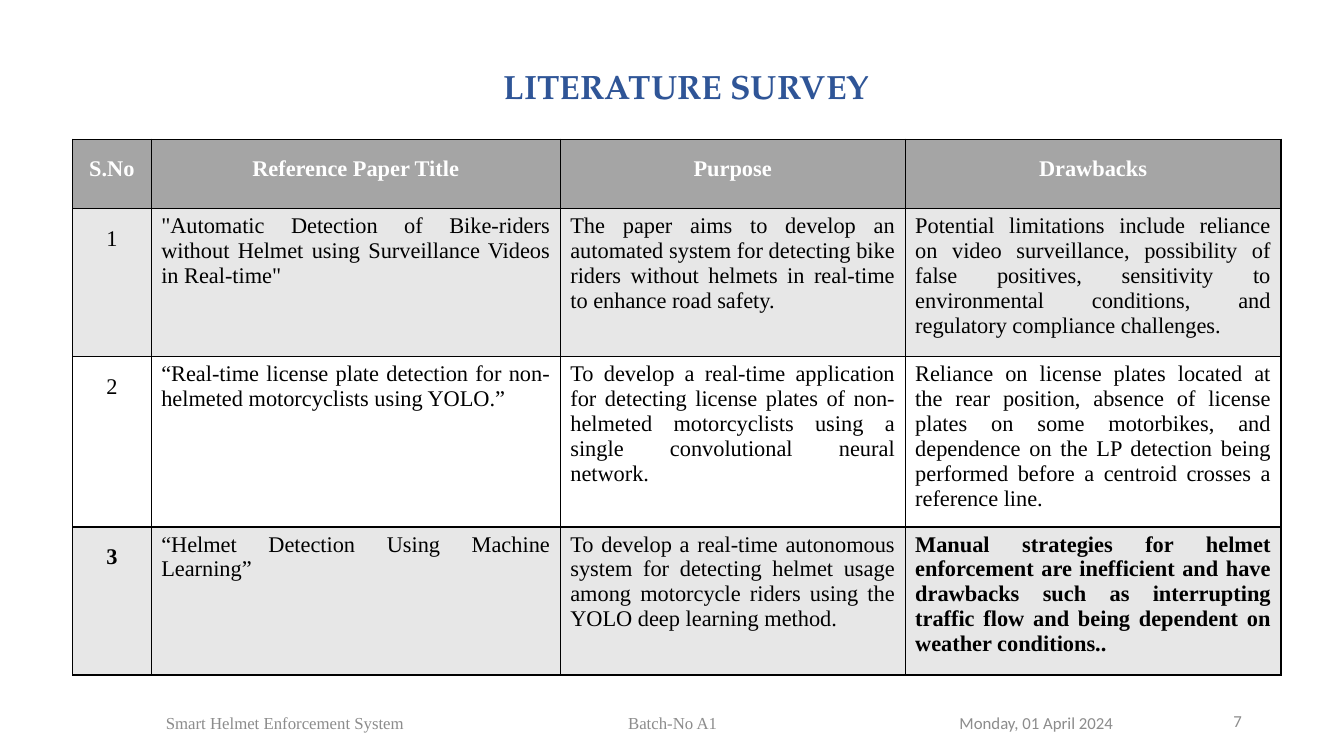
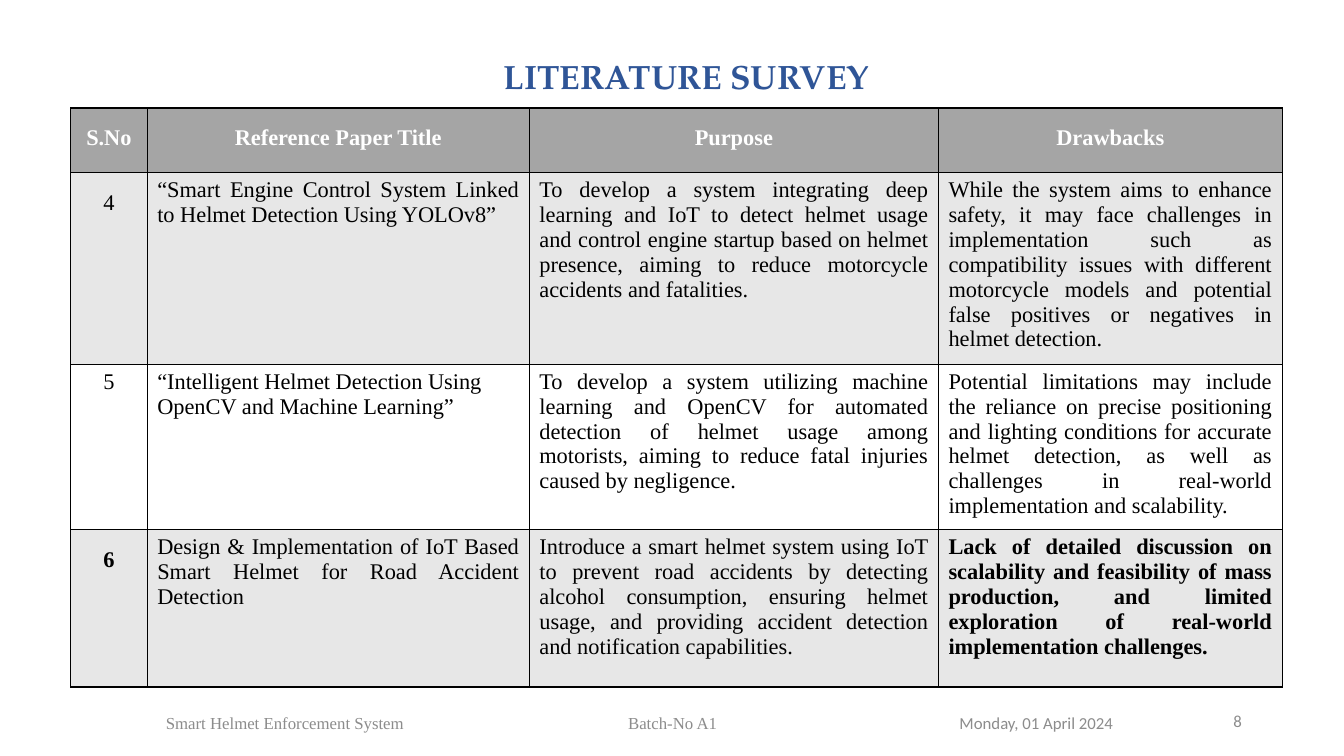
from dataclasses import dataclass

from lxml import etree
from pptx import Presentation
from pptx import util as u
from pptx.dml.color import RGBColor
from pptx.enum import text as t
from pptx.oxml import ns

LEFT, CENTER = t.PP_ALIGN.LEFT, t.PP_ALIGN.CENTER
RIGHT, JUSTIFY = t.PP_ALIGN.RIGHT, t.PP_ALIGN.JUSTIFY


@dataclass(frozen=True)
class Theme:
    title_color: str = "2F5597"
    header_fill: str = "A5A5A5"
    band_fill: str = "E7E7E7"
    plain_fill: str = "FFFFFF"
    header_color: str = "FFFFFF"
    body_color: str = "000000"
    border_color: str = "000000"
    footer_color: str = "8C8C8C"
    title_font: str = "TeX Gyre Pagella"
    body_font: str = "Times New Roman"
    footer_font: str = "Calibri"
    title_size: int = 24
    body_size: int = 16
    footer_size: int = 12
    border_width: int = 1


def write(frame, text, *, font, size, color, bold=False, align=LEFT, spacing=1.0, tab=None):
    """Put one formatted paragraph in a text frame."""
    para = frame.paragraphs[0]
    para.alignment = align
    para.line_spacing = spacing
    if tab is not None:
        stops = etree.SubElement(para._p.get_or_add_pPr(), ns.qn("a:tabLst"))
        etree.SubElement(stops, ns.qn("a:tab"), pos=str(tab), algn="l")
    span = para.add_run()
    span.text = text
    span.font.name = font
    span.font.size = u.Pt(size)
    span.font.bold = bold
    span.font.color.rgb = RGBColor.from_string(color)


class SurveyDeck:
    """Holds the theme, the deck and the current page."""

    def __init__(self, theme):
        self.theme = theme
        self.deck = Presentation()
        self.deck.slide_width = u.Cm(33.87)
        self.deck.slide_height = u.Cm(19.05)
        self.page = None

    def add_page(self):
        self.page = self.deck.slides.add_slide(self.deck.slide_layouts[5])

    def title(self, text, top, height):
        box = self.page.shapes.title
        box.left, box.top, box.width, box.height = u.Cm(2.69), u.Cm(top), u.Cm(29.21), u.Cm(height)
        box.text_frame.vertical_anchor = t.MSO_ANCHOR.MIDDLE
        write(box.text_frame, text, font=self.theme.title_font, size=self.theme.title_size,
              color=self.theme.title_color, bold=True, align=CENTER, spacing=0.9)

    def footer_box(self, text, left, top, width, *, font, align=LEFT, inset=0.25, tab=None):
        box = self.page.shapes.add_textbox(u.Cm(left), u.Cm(top), u.Cm(width), u.Cm(1.02))
        frame = box.text_frame
        frame.word_wrap = True
        frame.vertical_anchor = t.MSO_ANCHOR.MIDDLE
        frame.margin_left = u.Cm(inset)
        write(frame, text, font=font, size=self.theme.footer_size,
              color=self.theme.footer_color, align=align, tab=tab)

    def footer(self, number):
        self.footer_box("Smart Helmet Enforcement System\tBatch-No A1", 0.33, 17.7, 21.59,
                        font=self.theme.body_font, inset=3.85, tab=u.Cm(11.65))
        self.footer_box("Monday, 01 April 2024", 23.93, 17.7, 7.62, font=self.theme.footer_font)
        self.footer_box(str(number), 23.93, 17.65, 7.62, font=self.theme.footer_font, align=RIGHT)

    def border(self, cell):
        props = cell._tc.get_or_add_tcPr()
        for index, side in enumerate(("lnL", "lnR", "lnT", "lnB")):
            line = etree.Element(ns.qn(f"a:{side}"), w=str(u.Pt(self.theme.border_width)))
            fill = etree.SubElement(line, ns.qn("a:solidFill"))
            etree.SubElement(fill, ns.qn("a:srgbClr"), val=self.theme.border_color)
            props.insert(index, line)

    def cell(self, cell, text, fill, **style):
        cell.fill.solid()
        cell.fill.fore_color.rgb = RGBColor.from_string(fill)
        self.border(cell)
        write(cell.text_frame, text, font=self.theme.body_font, size=self.theme.body_size, **style)

    def table(self, left, top, widths, heights, papers, loose_rows=()):
        """Draw the survey grid; loose rows have a single-spaced number and a ragged title."""
        theme = self.theme
        grid = self.page.shapes.add_table(
            len(heights), len(widths), u.Cm(left), u.Cm(top),
            u.Cm(sum(widths)), u.Cm(sum(heights))).table
        grid.horz_banding = False
        for column, width in zip(grid.columns, widths):
            column.width = u.Cm(width)
        for row, height in zip(grid.rows, heights):
            row.height = u.Cm(height)

        for c, heading in enumerate(HEADINGS):
            self.cell(grid.cell(0, c), heading, theme.header_fill, color=theme.header_color,
                      bold=True, align=CENTER, spacing=1.5)
        for r, paper in enumerate(papers, start=1):
            loose = r in loose_rows
            aligns = (CENTER, LEFT if loose else JUSTIFY, JUSTIFY, JUSTIFY)
            for c, (text, align) in enumerate(zip(paper, aligns)):
                self.cell(grid.cell(r, c), text,
                          theme.band_fill if r % 2 else theme.plain_fill,
                          color=theme.body_color, align=align,
                          bold=r == len(papers) and c in (0, len(paper) - 1),
                          spacing=1.5 if c == 0 and not loose else 1.0)


# Content
HEADINGS = ("S.No", "Reference Paper Title", "Purpose", "Drawbacks")

FIRST_PAPERS = (
    ("1",
     '"Automatic Detection of Bike-riders without Helmet using Surveillance Videos in Real-time"',
     "The paper aims to develop an automated system for detecting bike riders without helmets "
     "in real-time to enhance road safety.",
     "Potential limitations include reliance on video surveillance, possibility of false "
     "positives, sensitivity to environmental conditions, and regulatory "
     "compliance challenges."),
    ("2",
     "“Real-time license plate detection for non-helmeted motorcyclists using YOLO.”",
     "To develop a real-time application for detecting license plates of non-helmeted "
     "motorcyclists using a single convolutional neural network.",
     "Reliance on license plates located at the rear position, absence of license plates on "
     "some motorbikes, and dependence on the LP detection being performed before a centroid "
     "crosses a reference line."),
    ("3",
     "“Helmet Detection Using Machine Learning”",
     "To develop a real-time autonomous system for detecting helmet usage among motorcycle "
     "riders using the YOLO deep learning method.",
     "Manual strategies for helmet enforcement are inefficient and have drawbacks such as "
     "interrupting traffic flow and being dependent on weather conditions.."),
)

SECOND_PAPERS = (
    ("4",
     "“Smart Engine Control System Linked to Helmet Detection Using YOLOv8”",
     "To develop a system integrating deep learning and IoT to detect helmet usage and control "
     "engine startup based on helmet presence, aiming to reduce motorcycle accidents and "
     "fatalities.",
     "While the system aims to enhance safety, it may face challenges in implementation such as "
     "compatibility issues with different motorcycle models and potential false positives or "
     "negatives in helmet detection."),
    ("5",
     "“Intelligent Helmet Detection Using OpenCV and Machine Learning”",
     "To develop a system utilizing machine learning and OpenCV for automated detection of "
     "helmet usage among motorists, aiming to reduce fatal injuries caused by negligence.",
     "Potential limitations may include the reliance on precise positioning and lighting "
     "conditions for accurate helmet detection, as well as challenges in real-world "
     "implementation and scalability."),
    ("6",
     "Design & Implementation of IoT Based Smart Helmet for Road Accident Detection",
     "Introduce a smart helmet system using IoT to prevent road accidents by detecting alcohol "
     "consumption, ensuring helmet usage, and providing accident detection and notification "
     "capabilities.",
     "Lack of detailed discussion on scalability and feasibility of mass production, and "
     "limited exploration of real-world implementation challenges."),
)


def main():
    survey = SurveyDeck(Theme())

    # Papers 1 to 3
    survey.add_page()
    survey.title("LITERATURE SURVEY", top=0.38, height=3.68)
    survey.table(1.83, 3.51, (1.98, 10.31, 8.69, 9.47), (1.75, 3.73, 4.29, 3.73), FIRST_PAPERS)
    survey.footer(7)

    # Papers 4 to 6
    survey.add_page()
    survey.title("LITERATURE SURVEY", top=1.19, height=1.57)
    survey.table(1.78, 2.72, (1.93, 9.63, 10.31, 8.66), (1.63, 4.83, 4.17, 3.96), SECOND_PAPERS,
                 loose_rows=(2,))
    survey.footer(8)

    survey.deck.save("out.pptx")


if __name__ == "__main__":
    main()
